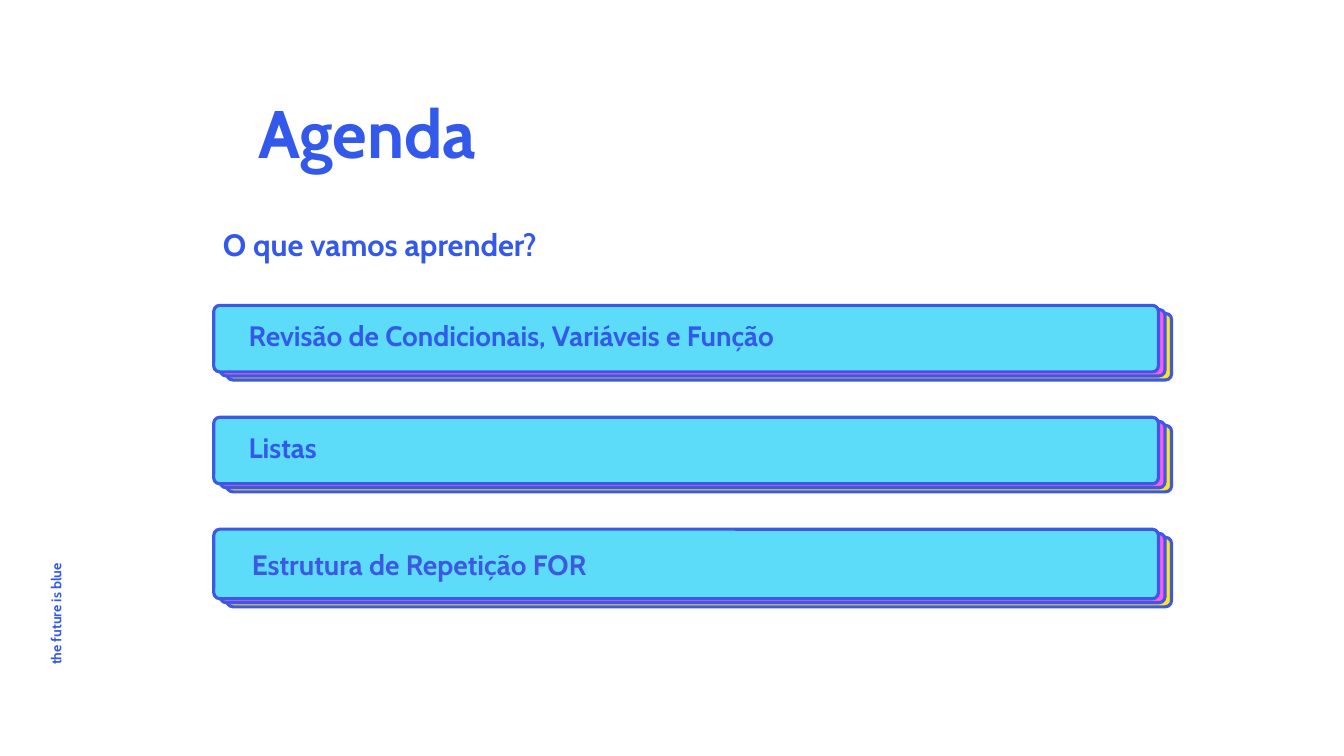
from pptx import Presentation
from pptx.dml.color import RGBColor
from pptx.enum import shapes, text
from pptx.util import Inches, Pt
from lxml import etree

BLUE = RGBColor(0x33, 0x59, 0xEB)
OUTLINE = RGBColor(0x3D, 0x58, 0xE3)
YELLOW = RGBColor(0xFF, 0xE2, 0x21)
PINK = RGBColor(0xFF, 0x59, 0xEB)
CYAN = RGBColor(0x5D, 0xDC, 0xF9)
MARGIN = Inches(0.03)


def place(shape, left, top, width, height):
    shape.left, shape.top = Inches(left), Inches(top)
    shape.width, shape.height = Inches(width), Inches(height)


def write(shape, wording, size, color, spacing, inset=MARGIN):
    frame = shape.text_frame
    frame.word_wrap = True
    frame.auto_size = text.MSO_AUTO_SIZE.NONE
    frame.vertical_anchor = text.MSO_ANCHOR.MIDDLE
    frame.margin_left = inset
    frame.margin_right = frame.margin_top = frame.margin_bottom = MARGIN
    paragraph = frame.paragraphs[0]
    paragraph.alignment = text.PP_ALIGN.LEFT
    paragraph.line_spacing = spacing
    paragraph.space_before = Pt(0)
    run = paragraph.add_run()
    run.text = wording
    run.font.name = "Cabin"
    run.font.size = Pt(size)
    run.font.bold = True
    run.font.color.rgb = color


presentation = Presentation()
presentation.slide_width = Inches(13.33)
presentation.slide_height = Inches(7.5)
slide = presentation.slides.add_slide(presentation.slide_layouts[1])

title = slide.shapes.title
place(title, 2.53, 0.03, 6.75, 2.71)
write(title, "Agenda", 48, BLUE, 0.8)

question = slide.placeholders[1]
place(question, 2.18, 1.71, 9.56, 1.49)
properties = question.text_frame.paragraphs[0]._p.get_or_add_pPr()
properties.set("marL", "0")
properties.set("indent", "0")
etree.SubElement(properties, "{http://schemas.openxmlformats.org/drawingml/2006/main}buNone")
write(question, "O que vamos aprender?", 22, BLUE, 0.8)

motto = slide.shapes.add_textbox(Inches(-0.14), Inches(5.79), Inches(1.43), Inches(0.24))
motto.rotation = 270
write(motto, "the future is blue", 10, BLUE, 0.7)

topics = [
    ("Revisão de Condicionais, Variáveis e Função", 3.03, 0.66, BLUE, 0.8, 0.33),
    ("Listas", 4.14, 0.66, BLUE, 0.8, 0.33),
    ("Estrutura de Repetição FOR", 5.25, 0.69, OUTLINE, 1.0, 0.36),
]
for wording, top, height, color, spacing, inset in topics:
    for depth, fill in ((2, YELLOW), (1, PINK), (0, CYAN)):
        card = slide.shapes.add_shape(
            shapes.MSO_SHAPE.ROUNDED_RECTANGLE,
            Inches(2.12 + 0.065 * depth), Inches(top + 0.04 * depth),
            Inches(9.37), Inches(height))
        card.adjustments[0] = 0.09
        card.shadow.inherit = False
        card.fill.solid()
        card.fill.fore_color.rgb = fill
        card.line.color.rgb = OUTLINE
        card.line.width = Pt(2.25)
    write(card, wording, 20, color, spacing, Inches(inset))

presentation.save("out.pptx")
